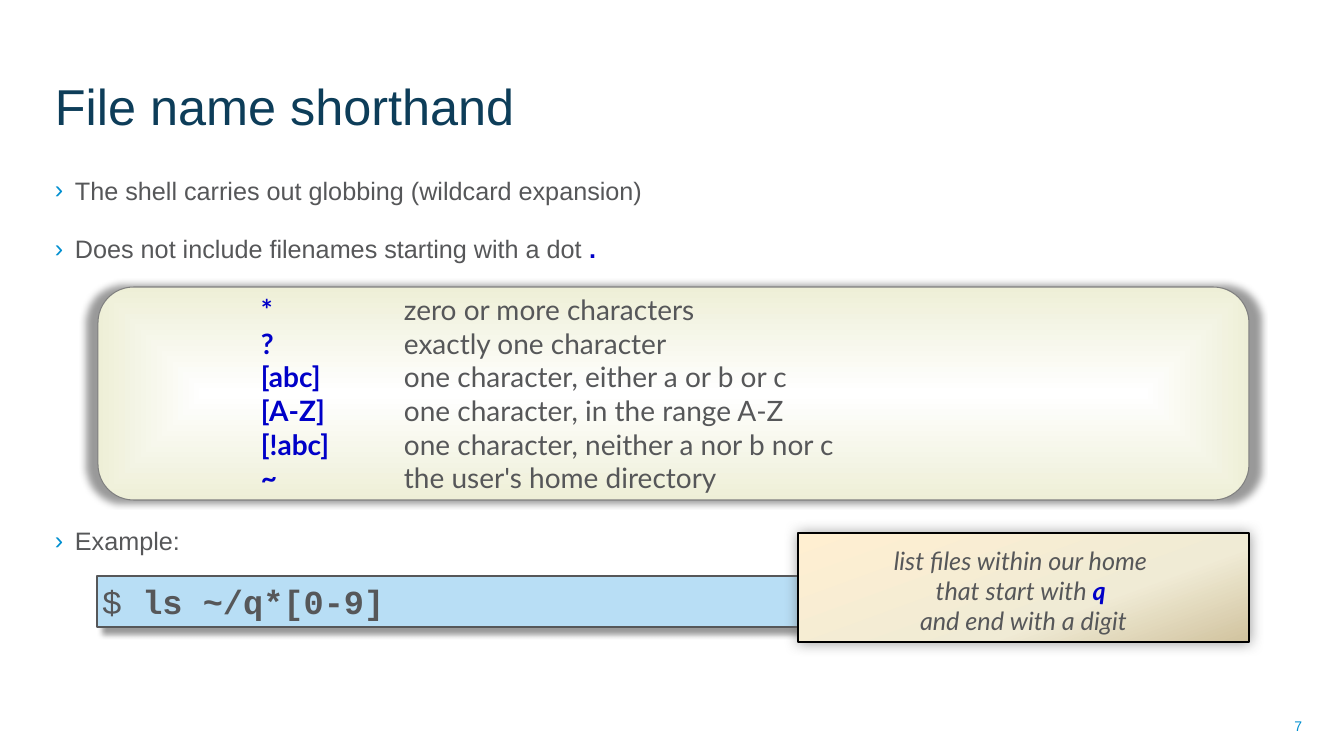
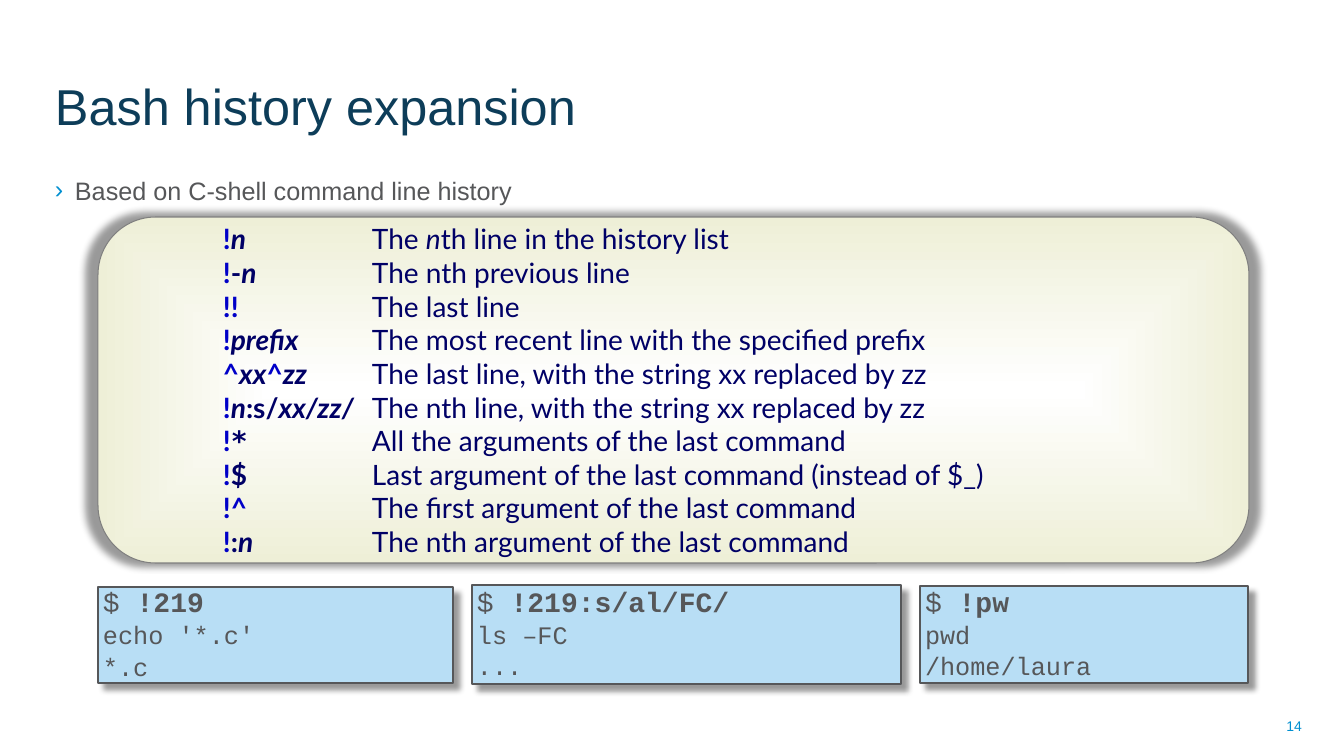
import pptx
import pptx.dml.color
import pptx.enum.shapes
import pptx.enum.text
import pptx.oxml
import pptx.oxml.ns
import pptx.util

WIDE, HIGH = 1344, 756
SCALE = 914400 / 100.8
CORNER = 0.0488  # text inset of the rounded panel, as a share of its height

HUES = {
    "title": "0D3D59", "text": "565759", "accent": "008FD0", "blue": "0000C8",
    "navy": "000066", "sky": "B8DEF5", "grey": "808080", "black": "000000",
    "white": "FFFFFF", "cream": "EEEFD7", "peach": "FFEFD1", "sand": "F0EBD5",
    "tan": "D1C39F", "smoke": "6D6D6D",
}

# face, size, colour, b(old) and i(talic)
STYLES = {
    "title": ("Arial", 36, "title", ""),
    "body": ("Arial", 18, "text", ""),
    "dot": ("Arial", 18, "blue", "b"),
    "page": ("Arial", 10, "accent", ""),
    "key": ("Lato", 20, "blue", "b"),
    "plain": ("Lato", 20, "text", ""),
    "mark": ("Lato", 20, "navy", "b"),
    "star": ("DejaVu Sans Mono", 20, "navy", "b"),
    "var": ("Lato", 20, "navy", "bi"),
    "desc": ("Lato", 20, "navy", ""),
    "slant": ("Lato", 20, "navy", "i"),
    "note": ("Lato", 18, "text", "i"),
    "noted": ("Lato", 18, "blue", "bi"),
    "big": ("Courier New", 24, "text", ""),
    "bigcmd": ("Courier New", 24, "text", "b"),
    "shell": ("Courier New", 20, "text", ""),
    "cmd": ("Courier New", 20, "text", "b"),
    "out": ("Courier New", 18, "text", ""),
}

ALIGN = pptx.enum.text.PP_ALIGN
ANCHOR = pptx.enum.text.MSO_ANCHOR
SHAPE = pptx.enum.shapes.MSO_SHAPE


def px(num):
    """Turn pixels into EMU."""
    return pptx.util.Emu(round(num * SCALE))


def rgb(hue):
    """Look up a named colour."""
    return pptx.dml.color.RGBColor.from_string(HUES[hue])


def xml(text):
    """Build a drawing element, adding its namespace to the first tag."""
    tag, rest = text.split(" ", 1)
    return pptx.oxml.parse_xml(f"{tag} {pptx.oxml.ns.nsdecls('a')} {rest}")


def write(para, runs):
    """Add (text, style) runs; a newline run is a line break."""
    for text, style in runs:
        if text == "\n":
            para.add_line_break()
            continue
        face, size, hue, flags = STYLES[style]
        run = para.add_run()
        run.text = text
        run.font.name = face
        run.font.size = pptx.util.Pt(size)
        run.font.color.rgb = rgb(hue)
        run.font.bold = "b" in flags
        run.font.italic = "i" in flags


def fill_text(shape, lines, anchor, pads=(10, 5, 10, 5), align=ALIGN.LEFT):
    """Write one paragraph per line and return the paragraphs."""
    frame = shape.text_frame
    frame.word_wrap = True
    frame.vertical_anchor = anchor
    (frame.margin_left, frame.margin_top,
     frame.margin_right, frame.margin_bottom) = map(px, pads)
    for num, runs in enumerate(lines):
        para = frame.add_paragraph() if num else frame.paragraphs[0]
        para.alignment = align
        write(para, runs)
    return frame.paragraphs


def add_label(slide, box, lines, anchor, align=ALIGN.LEFT):
    """Place a text box and return its paragraphs."""
    shape = slide.shapes.add_textbox(*map(px, box))
    return fill_text(shape, lines, anchor, align=align)


def add_block(slide, kind, box, edge, width, shade):
    """Place an outlined shape with an outer shadow."""
    shape = slide.shapes.add_shape(kind, *map(px, box))
    shape.line.color.rgb = rgb(edge)
    shape.line.width = pptx.util.Pt(width)
    shape.shadow.inherit = False
    hue, alpha, blur, dist, angle, grow = shade
    props = shape.element.spPr
    props.find(pptx.oxml.ns.qn("a:effectLst")).append(xml(
        f'<a:outerShdw blurRad="{blur * 12700}" dist="{dist * 12700}" '
        f'dir="{angle * 60000}" sx="{grow * 1000}" sy="{grow * 1000}" '
        f'algn="{"tl" if dist else "ctr"}" rotWithShape="0">'
        f'<a:srgbClr val="{HUES[hue]}"><a:alpha val="{alpha * 1000}"/>'
        '</a:srgbClr></a:outerShdw>'))
    return shape


def blend(shape, stops, shading):
    """Give a shape a gradient of (percent, colour) stops."""
    shape.fill.background()
    props = shape.element.spPr
    steps = "".join(f'<a:gs pos="{pos * 1000}"><a:srgbClr val="{HUES[hue]}"/></a:gs>'
                    for pos, hue in stops)
    props.replace(props.find(pptx.oxml.ns.qn("a:noFill")), xml(
        f'<a:gradFill rotWithShape="1"><a:gsLst>{steps}</a:gsLst>{shading}</a:gradFill>'))


def add_frame(deck, title, page):
    """Start a slide with its title and page number."""
    slide = deck.slides.add_slide(deck.slide_layouts[6])
    slide.background.fill.solid()
    slide.background.fill.fore_color.rgb = rgb("white")
    add_label(slide, (45, 14, 1006, 127), [[(title, "title")]], ANCHOR.BOTTOM)
    add_label(slide, (999, 706, 313, 40), [[(page, "page")]], ANCHOR.MIDDLE, ALIGN.RIGHT)
    return slide


def add_points(slide, box, points):
    """Place bullets given as (space before, runs)."""
    paras = add_label(slide, box, [runs for _, runs in points], ANCHOR.TOP)
    for para, (before, _) in zip(paras, points):
        para.space_before = pptx.util.Pt(before)
        para.space_after = pptx.util.Pt(10)
        props = para._p.get_or_add_pPr()
        props.set("marL", str(px(20)))
        props.set("indent", str(-px(20)))
        props.append(xml(f'<a:buClr ><a:srgbClr val="{HUES["accent"]}"/></a:buClr>'))
        props.append(xml('<a:buFont typeface="Arial"/>'))
        props.append(xml('<a:buChar char="\u203a"/>'))


def add_panel(slide, box, inset, gap, rows):
    """Place the rounded panel with a key column and a meaning column."""
    shape = add_block(slide, SHAPE.FLOWCHART_ALTERNATE_PROCESS, box, "grey", 0.75,
                      ("black", 40, 5, 0, 0, 102))
    blend(shape, [(0, "white"), (100, "cream")],
          '<a:path path="shape"><a:fillToRect l="50000" t="50000" r="50000" b="50000"/>'
          '</a:path>')
    pads = (inset - box[3] * CORNER, 5, 10, 5)
    for para in fill_text(shape, rows, ANCHOR.MIDDLE, pads):
        para._p.get_or_add_pPr().append(xml(
            f'<a:tabLst ><a:tab pos="{px(gap)}" algn="l"/></a:tabLst>'))


def add_shell(slide, box, lines, pitch=1.0):
    """Place a blue terminal box."""
    shape = add_block(slide, SHAPE.RECTANGLE, box, "text", 1, ("black", 40, 4, 6, 45, 100))
    shape.fill.solid()
    shape.fill.fore_color.rgb = rgb("sky")
    for para in fill_text(shape, lines, ANCHOR.MIDDLE, (5, 2, 5, 2)):
        para.line_spacing = pitch
        para.space_before = pptx.util.Pt(3)


def add_note(slide, box, runs):
    """Place the shaded remark."""
    shape = add_block(slide, SHAPE.RECTANGLE, box, "black", 1, ("smoke", 65, 10, 0, 61, 100))
    blend(shape, [(0, "peach"), (65, "sand"), (100, "tan")],
          '<a:lin ang="4200000" scaled="0"/>')
    fill_text(shape, [runs], ANCHOR.TOP, (10, 12, 10, 6), ALIGN.CENTER)


BODY = (45, 170, 1257, 501)

GLOBS = [
    ("*", "zero or more characters"),
    ("?", "exactly one character"),
    ("[abc]", "one character, either a or b or c"),
    ("[A-Z]", "one character, in the range A-Z"),
    ("[!abc]", "one character, neither a nor b nor c"),
    ("~", "the user's home directory"),
]

EVENTS = [
    ([("!", "key"), ("n", "var")],
     [("The ", "desc"), ("n", "slant"), ("th line in the history list", "desc")]),
    ([("!", "key"), ("-", "mark"), ("n", "var")], [("The nth previous line", "desc")]),
    ([("!!", "key")], [("The last line", "desc")]),
    ([("!", "key"), ("prefix", "var")],
     [("The most recent line with the specified prefix", "desc")]),
    ([("^", "key"), ("xx", "var"), ("^", "key"), ("zz", "var")],
     [("The last line, with the string xx replaced by zz", "desc")]),
    ([("!", "key"), ("n", "var"), (":s/", "mark"), ("xx/zz/", "var")],
     [("The nth line, with the string xx replaced by zz", "desc")]),
    ([("!", "key"), ("*", "star")], [("All the arguments of the last command", "desc")]),
    ([("!", "key"), ("$", "mark")],
     [("Last argument of the last command (instead of $_)", "desc")]),
    ([("!^", "key")], [("The first argument of the last command", "desc")]),
    ([("!", "key"), (":", "mark"), ("n", "var")],
     [("The nth argument of the last command", "desc")]),
]

SHELLS = [
    ((98, 587, 355, 96), "!219", ["echo '*.c'", "*.c"]),
    ((472, 585, 429, 99), "!219:s/al/FC/", ["ls \u2013FC", "..."]),
    ((920, 586, 328, 97), "!pw", ["pwd", "/home/laura"]),
]


def globs(deck):
    """Build the slide on file name shorthand."""
    slide = add_frame(deck, "File name shorthand", "7")
    add_points(slide, BODY, [
        (10, [("The shell carries out globbing (wildcard expansion)", "body")]),
        (10, [("Does not include filenames starting with a dot ", "body"), (".", "dot")]),
        (177, [("Example:", "body")]),
    ])
    add_shell(slide, (97, 576, 715, 51), [[("$ ", "big"), ("ls ~/q*[0-9]", "bigcmd")]])
    add_panel(slide, (98, 287, 1151, 213), 163, 143,
              [[(key + "\t", "key"), (text, "plain")] for key, text in GLOBS])
    add_note(slide, (798, 533, 451, 109), [
        ("list files within our home ", "note"), ("\n", ""),
        ("that start with ", "note"), ("q ", "noted"), ("\n", ""),
        ("and end with a digit", "note"),
    ])


def events(deck):
    """Build the slide on history expansion."""
    slide = add_frame(deck, "Bash history expansion", "14")
    add_points(slide, BODY, [(10, [("Based on C-shell command line history", "body")])])
    for box, command, output in SHELLS:
        add_shell(slide, box, [[("$ ", "shell"), (command, "cmd")]]
                  + [[(line, "out")] for line in output], 0.9)
    add_panel(slide, (98, 217, 1151, 346), 125, 149,
              [key + [("\t", "desc")] + text for key, text in EVENTS])


deck = pptx.Presentation()
deck.slide_width, deck.slide_height = px(WIDE), px(HIGH)
globs(deck)
events(deck)
deck.save("out.pptx")
